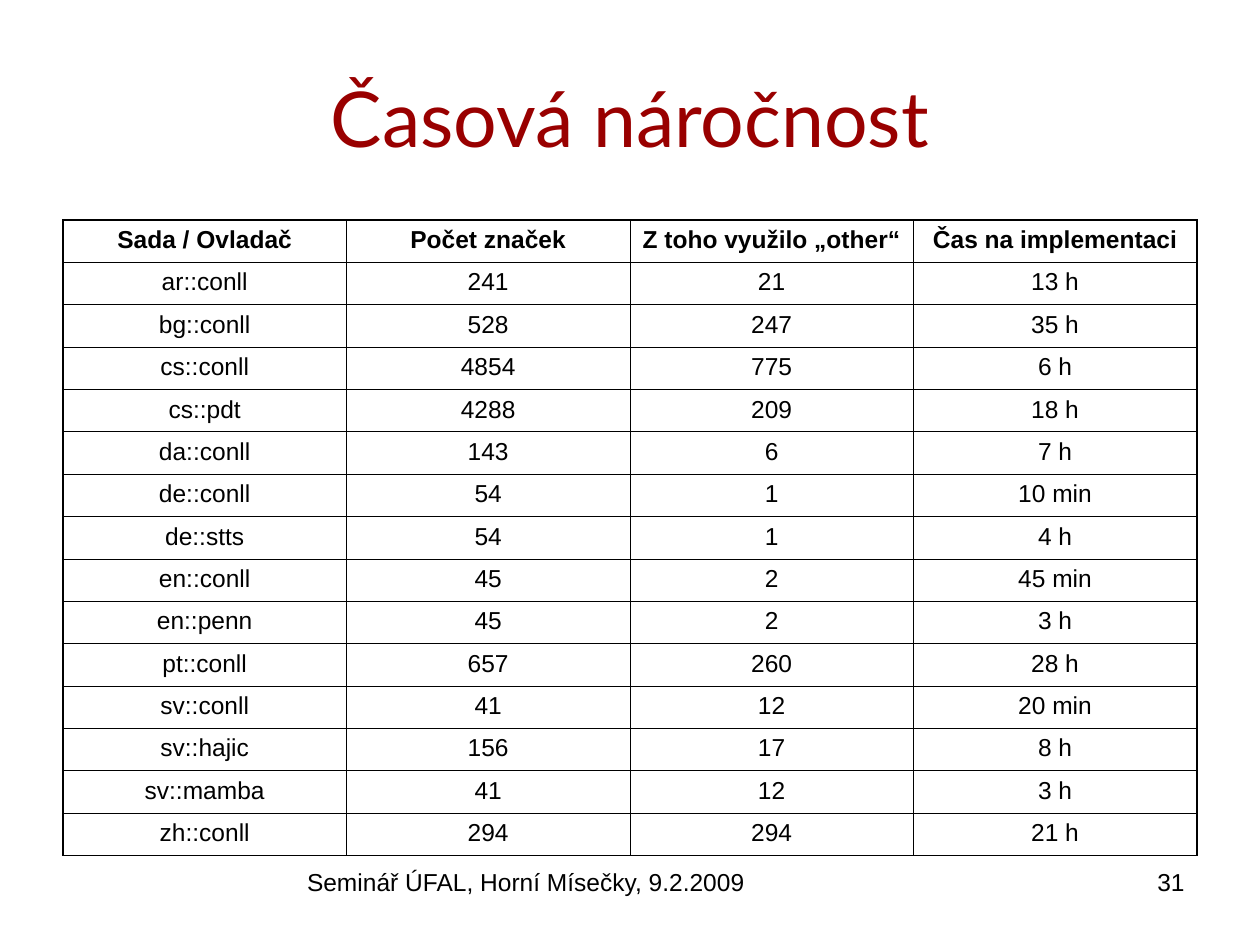
from pptx import Presentation
from pptx.dml.color import RGBColor
from pptx.enum.text import MSO_ANCHOR, PP_ALIGN
from pptx.oxml import parse_xml
from pptx.oxml.ns import nsdecls
from pptx.util import Pt

PX = 914400 // 126
COLORS = {"title": "990000", "text": "000000", "border": "000000"}
TITLE = {"name": "Lato", "size": Pt(44), "bold": False}
BODY = {"name": "Arial", "size": Pt(14), "bold": False}
HEADER = {**BODY, "bold": True}
INNER, OUTER = Pt(0.45), Pt(1.08)

ROWS = [
    ("Sada / Ovladač", "Počet značek", "Z toho využilo „other“", "Čas na implementaci"),
    ("ar::conll", "241", "21", "13 h"),
    ("bg::conll", "528", "247", "35 h"),
    ("cs::conll", "4854", "775", "6 h"),
    ("cs::pdt", "4288", "209", "18 h"),
    ("da::conll", "143", "6", "7 h"),
    ("de::conll", "54", "1", "10 min"),
    ("de::stts", "54", "1", "4 h"),
    ("en::conll", "45", "2", "45 min"),
    ("en::penn", "45", "2", "3 h"),
    ("pt::conll", "657", "260", "28 h"),
    ("sv::conll", "41", "12", "20 min"),
    ("sv::hajic", "156", "17", "8 h"),
    ("sv::mamba", "41", "12", "3 h"),
    ("zh::conll", "294", "294", "21 h"),
]


def write(tf, text, font, color, align):
    p = tf.paragraphs[0]
    p.alignment = align
    r = p.add_run()
    r.text = text
    for key, value in font.items():
        setattr(r.font, key, value)
    r.font.color.rgb = RGBColor.from_string(COLORS[color])


def add_text(s, box, text, font, color, align, anchor=MSO_ANCHOR.TOP):
    tf = s.shapes.add_textbox(*(v * PX for v in box)).text_frame
    tf.word_wrap = True
    tf.vertical_anchor = anchor
    write(tf, text, font, color, align)


def add_borders(cell, widths):
    tcPr = cell._tc.get_or_add_tcPr()
    for side, width in widths.items():
        tcPr.append(parse_xml(
            f'<a:ln{side} {nsdecls("a")} w="{width}"><a:solidFill>'
            f'<a:srgbClr val="{COLORS["border"]}"/></a:solidFill></a:ln{side}>'))


def add_title(s, box):
    add_text(s, box, "Časová náročnost", TITLE, "title", PP_ALIGN.CENTER, MSO_ANCHOR.MIDDLE)


def add_times(s, box):
    x, y, w, h = (v * PX for v in box)
    n, m = len(ROWS), len(ROWS[0])
    table = s.shapes.add_table(n, m, x, y, w, h).table
    table.first_row = table.horz_banding = False
    for column in table.columns:
        column.width = w // m
    for i, row in enumerate(ROWS):
        table.rows[i].height = h // n
        for j, text in enumerate(row):
            cell = table.cell(i, j)
            write(cell.text_frame, text, BODY if i else HEADER, "text", PP_ALIGN.CENTER)
            add_borders(cell, {
                "L": INNER if j else OUTER,
                "R": INNER if j < m - 1 else OUTER,
                "T": INNER if i else OUTER,
                "B": INNER if i < n - 1 else OUTER,
            })
            cell.fill.background()


def add_footer(s, box):
    x, y, w, h = box
    add_text(s, (x + 160, y, 606, h), "Seminář ÚFAL, Horní Mísečky, 9.2.2009",
             BODY, "text", PP_ALIGN.CENTER)
    add_text(s, (x + w - 294, y, 294, h), "31", BODY, "text", PP_ALIGN.RIGHT)


def main():
    prs = Presentation()
    prs.slide_width, prs.slide_height = 1260 * PX, 945 * PX
    s = prs.slides.add_slide(prs.slide_layouts[6])
    add_title(s, (63, 38, 1134, 157))
    add_times(s, (63, 220, 1134, 636))
    add_footer(s, (63, 861, 1134, 65))
    prs.save("out.pptx")


if __name__ == "__main__":
    main()
